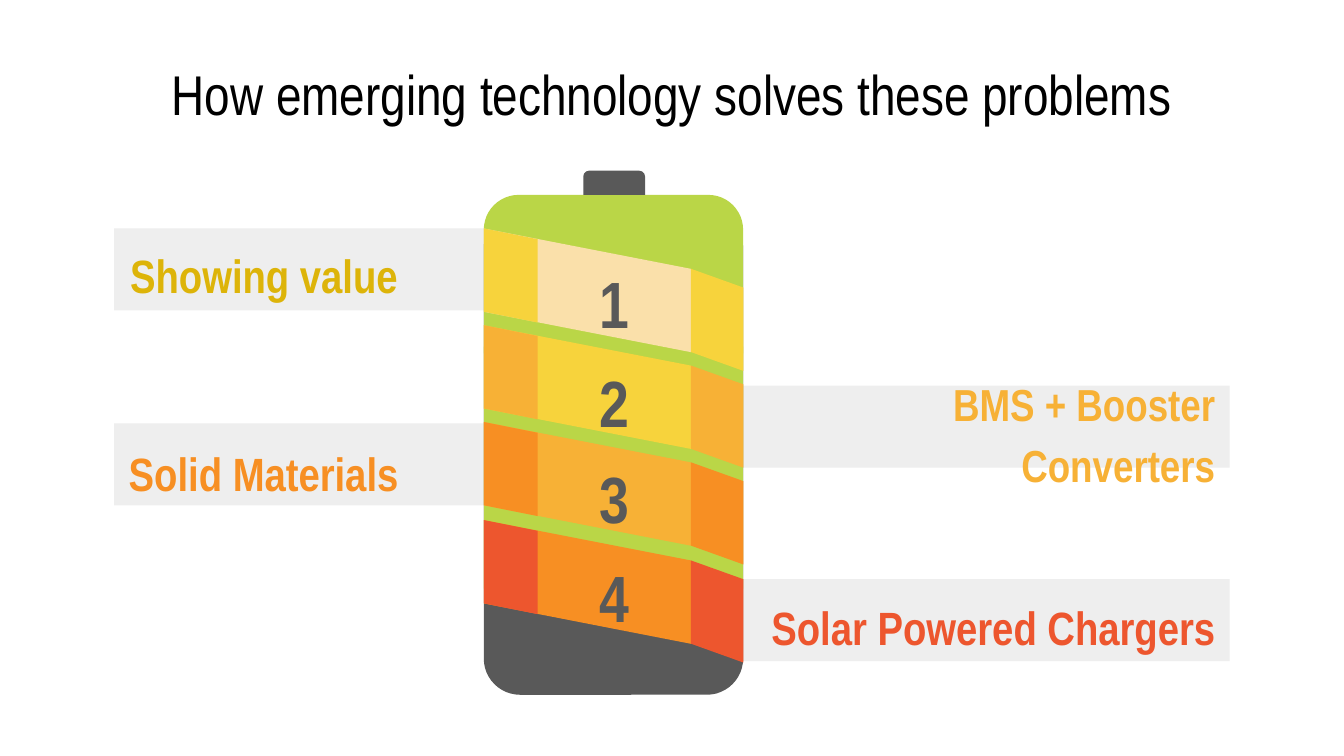
"""Build a slide with a four-band battery diagram and a label for each band."""
from dataclasses import dataclass

from pptx import Presentation
from pptx.dml.color import RGBColor
from pptx.enum.shapes import MSO_SHAPE
from pptx.enum.text import MSO_ANCHOR, PP_ALIGN
from pptx.util import Inches, Pt


@dataclass(frozen=True)
class Theme:
    font: str = "Arial Narrow"
    black: str = "000000"
    dark: str = "595959"
    strip: str = "EEEEEE"
    green: str = "BAD647"
    cream: str = "FAE0AA"
    yellow: str = "F7D33C"
    gold: str = "DDB409"
    amber: str = "F7B136"
    orange: str = "F78F23"
    red: str = "ED562E"
    title_size: int = 30
    number_size: int = 35
    label_size: int = 25
    small_label_size: int = 24


def paint(s, color):
    s.shadow.inherit = False
    s.fill.solid()
    s.fill.fore_color.rgb = RGBColor.from_string(color)
    s.line.fill.background()


def add_text(box, text, size, color, align, bold=True, spacing=1.15, top=0.1):
    tf = slide.shapes.add_textbox(*map(Inches, box)).text_frame
    tf.word_wrap = True
    tf.vertical_anchor = MSO_ANCHOR.MIDDLE
    tf.margin_left = tf.margin_right = tf.margin_bottom = Inches(0.1)
    tf.margin_top = Inches(top)
    tf.text = text
    p = tf.paragraphs[0]
    p.alignment = align
    p.line_spacing = spacing
    r = p.runs[0]
    r.font.name = theme.font
    r.font.size = Pt(size)
    r.font.bold = bold
    r.font.color.rgb = RGBColor.from_string(color)


theme = Theme()
prs = Presentation()
prs.slide_width = Inches(10)
prs.slide_height = Inches(10) * 9 // 16
slide = prs.slides.add_slide(prs.slide_layouts[6])

for left, top, width in [(5.5, 2.87, 3.65), (0.85, 1.7, 3.18),
                         (5.5, 4.31, 3.65), (0.85, 3.15, 3.18)]:
    s = slide.shapes.add_shape(MSO_SHAPE.RECTANGLE, Inches(left), Inches(top),
                               Inches(width), Inches(0.61))
    paint(s, theme.strip)

battery_parts = [
    (MSO_SHAPE.ROUNDED_RECTANGLE, (3.6, 1.57, 1.93, 3.6), theme.dark, 0.14),
    (MSO_SHAPE.ROUND_2_SAME_RECTANGLE, (3.6, 1.45, 1.93, 1.18), theme.green, 0.22),
    (MSO_SHAPE.ROUND_2_SAME_RECTANGLE, (4.34, 1.27, 0.46, 0.18), theme.dark, 0.24),
    (MSO_SHAPE.RECTANGLE, (3.6, 2.58, 1.93, 1.8), theme.green, None),
]
for preset, box, color, rounding in battery_parts:
    s = slide.shapes.add_shape(preset, *map(Inches, box))
    paint(s, color)
    if rounding:
        s.adjustments[0] = rounding

add_text((0.73, 0.43, 8.54, 0.53), "How emerging technology solves these problems",
         theme.title_size, theme.black, PP_ALIGN.CENTER, bold=False, spacing=1.0)

band_height = 0.62
folds = [(3.6, 0), (4, 0.08), (5.14, 0.3), (5.53, 0.44)]
bands = [
    (1.7, 1.92, theme.cream, theme.yellow),
    (2.42, 2.66, theme.yellow, theme.amber),
    (3.14, 3.37, theme.amber, theme.orange),
    (3.87, 4.11, theme.orange, theme.red),
]
for top, _, face, side in bands:
    for start, end, color in [(0, 2, face), (0, 1, side), (2, 3, side)]:
        (x1, drop1), (x2, drop2) = folds[start], folds[end]
        corners = [(x1, top + drop1), (x2, top + drop2),
                   (x2, top + drop2 + band_height), (x1, top + drop1 + band_height)]
        points = [(Inches(x), Inches(y)) for x, y in corners]
        outline = slide.shapes.build_freeform(*points[0])
        outline.add_line_segments(points[1:], close=True)
        paint(outline.convert_to_shape(), color)

for number, (_, number_top, _, _) in enumerate(bands, 1):
    add_text((4.28, number_top, 0.58, 0.52), str(number), theme.number_size,
             theme.dark, PP_ALIGN.CENTER, top=0.15)

labels = [
    ((0.87, 1.81, 2.89, 0.41), "Showing value", theme.label_size, theme.gold, PP_ALIGN.LEFT),
    ((5.55, 2.93, 3.59, 0.54), "BMS + Booster Converters", theme.small_label_size,
     theme.amber, PP_ALIGN.RIGHT),
    ((0.86, 3.23, 2.57, 0.52), "Solid Materials", theme.label_size, theme.orange, PP_ALIGN.LEFT),
    ((5.49, 4.36, 3.65, 0.54), "Solar Powered Chargers", theme.label_size,
     theme.red, PP_ALIGN.RIGHT),
]
for label in labels:
    add_text(*label)

prs.save("out.pptx")
